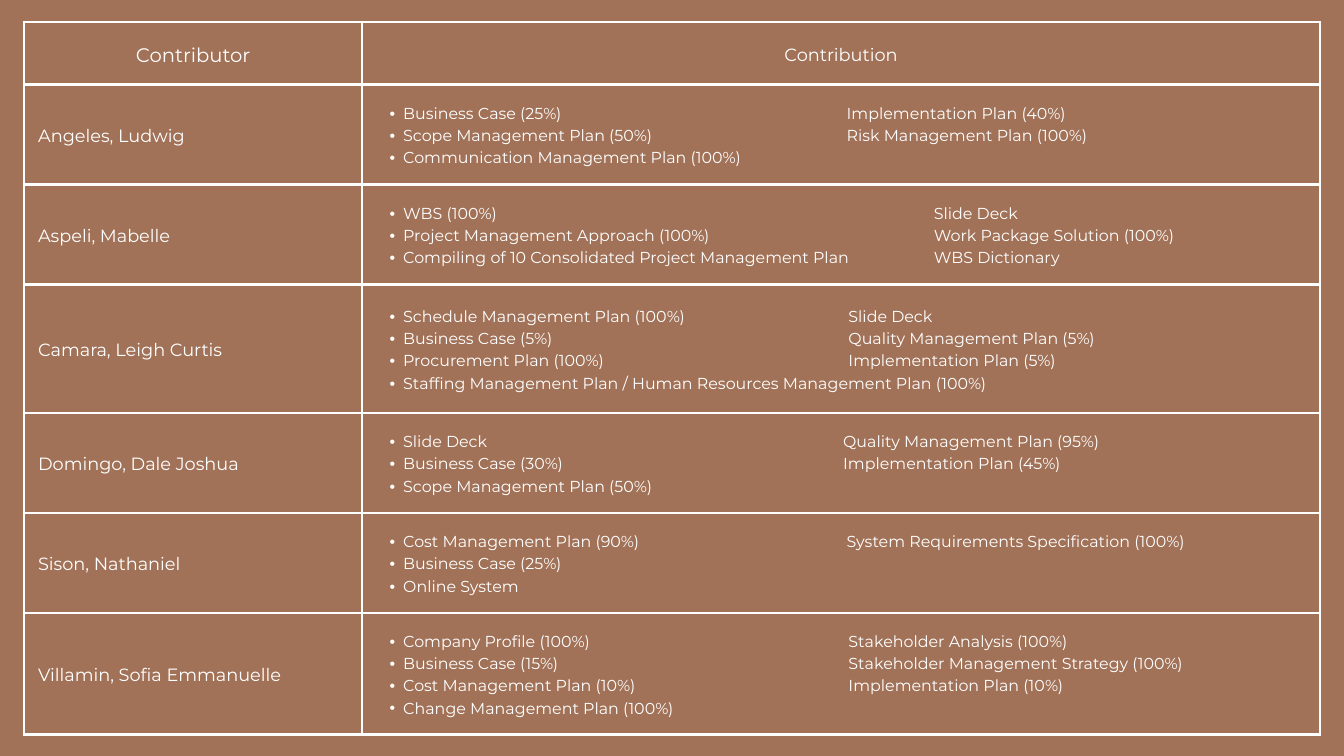
from lxml.etree import SubElement
from pptx import Presentation
from pptx.dml.color import RGBColor
from pptx.enum.text import MSO_ANCHOR, PP_ALIGN
from pptx.oxml.ns import qn
from pptx.util import Cm, Pt

COLORS = {"background": "A17258", "foreground": "FFFFFF"}
FONT = "Montserrat"
HEADERS = [("Contributor", 21), ("Contribution", 19)]
HEADER_HEIGHT = 2.36
COLUMN_WIDTHS = [12.78, 36.2]
INSET = 0.53

# name, row height, second column position, contributions
CONTRIBUTORS = [
    ("Angeles, Ludwig", 3.78, 17.78, [
        ("Business Case (25%)", "Implementation Plan (40%)"),
        ("Scope Management Plan (50%)", "Risk Management Plan (100%)"),
        ("Communication Management Plan (100%)",),
    ]),
    ("Aspeli, Mabelle", 3.78, 21.08, [
        ("WBS (100%)", "Slide Deck"),
        ("Project Management Approach (100%)", "Work Package Solution (100%)"),
        ("Compiling of 10 Consolidated Project Management Plan", "WBS Dictionary"),
    ]),
    ("Camara, Leigh Curtis", 4.85, 17.85, [
        ("Schedule Management Plan (100%)", "Slide Deck"),
        ("Business Case (5%)", "Quality Management Plan (5%)"),
        ("Procurement Plan (100%)", "Implementation Plan (5%)"),
        ("Staffing Management Plan / Human Resources Management Plan (100%)",),
    ]),
    ("Domingo, Dale Joshua", 3.78, 17.65, [
        ("Slide Deck", "Quality Management Plan (95%)"),
        ("Business Case (30%)", "Implementation Plan (45%)"),
        ("Scope Management Plan (50%)",),
    ]),
    ("Sison, Nathaniel", 3.78, 17.78, [
        ("Cost Management Plan (90%)", "System Requirements Specification (100%)"),
        ("Business Case (25%)",),
        ("Online System",),
    ]),
    ("Villamin, Sofia Emmanuelle", 4.6, 17.85, [
        ("Company Profile (100%)", "Stakeholder Analysis (100%)"),
        ("Business Case (15%)", "Stakeholder Management Strategy (100%)"),
        ("Cost Management Plan (10%)", "Implementation Plan (10%)"),
        ("Change Management Plan (100%)",),
    ]),
]


def add_bullet(paragraph, tab_position):
    properties = paragraph._p.get_or_add_pPr()
    properties.set("marL", str(Cm(1.02)))
    properties.set("indent", str(-Cm(0.51)))
    SubElement(properties, qn("a:buFont"), typeface="Arial")
    SubElement(properties, qn("a:buChar"), char="•")
    tabs = SubElement(properties, qn("a:tabLst"))
    SubElement(tabs, qn("a:tab"), pos=str(Cm(tab_position)), algn="l")


def add_borders(cell):
    properties = cell._tc.get_or_add_tcPr()
    for side in ("lnL", "lnR", "lnT", "lnB"):
        line = SubElement(properties, qn(f"a:{side}"), w=str(Pt(3)))
        fill = SubElement(line, qn("a:solidFill"))
        SubElement(fill, qn("a:srgbClr"), val=COLORS["foreground"])


def fill_cell(cell, lines, size, alignment=PP_ALIGN.LEFT, tab_position=None):
    add_borders(cell)
    cell.fill.background()
    cell.vertical_anchor = MSO_ANCHOR.MIDDLE
    cell.margin_left = cell.margin_right = Cm(INSET)
    cell.margin_top = cell.margin_bottom = Cm(INSET)
    cell.text_frame.text = "\n".join(lines)
    for paragraph in cell.text_frame.paragraphs:
        if tab_position:
            paragraph.level = 1
            add_bullet(paragraph, tab_position)
        paragraph.alignment = alignment
        paragraph.line_spacing = Pt(size * 1.4)
        for run in paragraph.runs:
            run.font.name = FONT
            run.font.size = Pt(size)
            run.font.color.rgb = RGBColor.from_string(COLORS["foreground"])


def main():
    """Build the table of contributors and their contributions."""
    presentation = Presentation()
    presentation.slide_width, presentation.slide_height = Cm(50.8), Cm(28.58)
    slide = presentation.slides.add_slide(presentation.slide_layouts[6])
    background = slide.background.fill
    background.solid()
    background.fore_color.rgb = RGBColor.from_string(COLORS["background"])

    heights = [HEADER_HEIGHT] + [height for _, height, _, _ in CONTRIBUTORS]
    table = slide.shapes.add_table(
        len(heights), len(COLUMN_WIDTHS), Cm(0.91), Cm(0.84),
        Cm(sum(COLUMN_WIDTHS)), Cm(sum(heights))).table
    table.first_row = table.horz_banding = False
    for column, width in zip(table.columns, COLUMN_WIDTHS):
        column.width = Cm(width)
    for row, height in zip(table.rows, heights):
        row.height = Cm(height)

    for index, (header, size) in enumerate(HEADERS):
        fill_cell(table.cell(0, index), [header], size, PP_ALIGN.CENTER)
    for index, (name, _, tab_position, contributions) in enumerate(CONTRIBUTORS, 1):
        fill_cell(table.cell(index, 0), [name], 19)
        lines = ["\t".join(items) for items in contributions]
        fill_cell(table.cell(index, 1), lines, 17, tab_position=tab_position)

    presentation.save("out.pptx")


if __name__ == "__main__":
    main()
